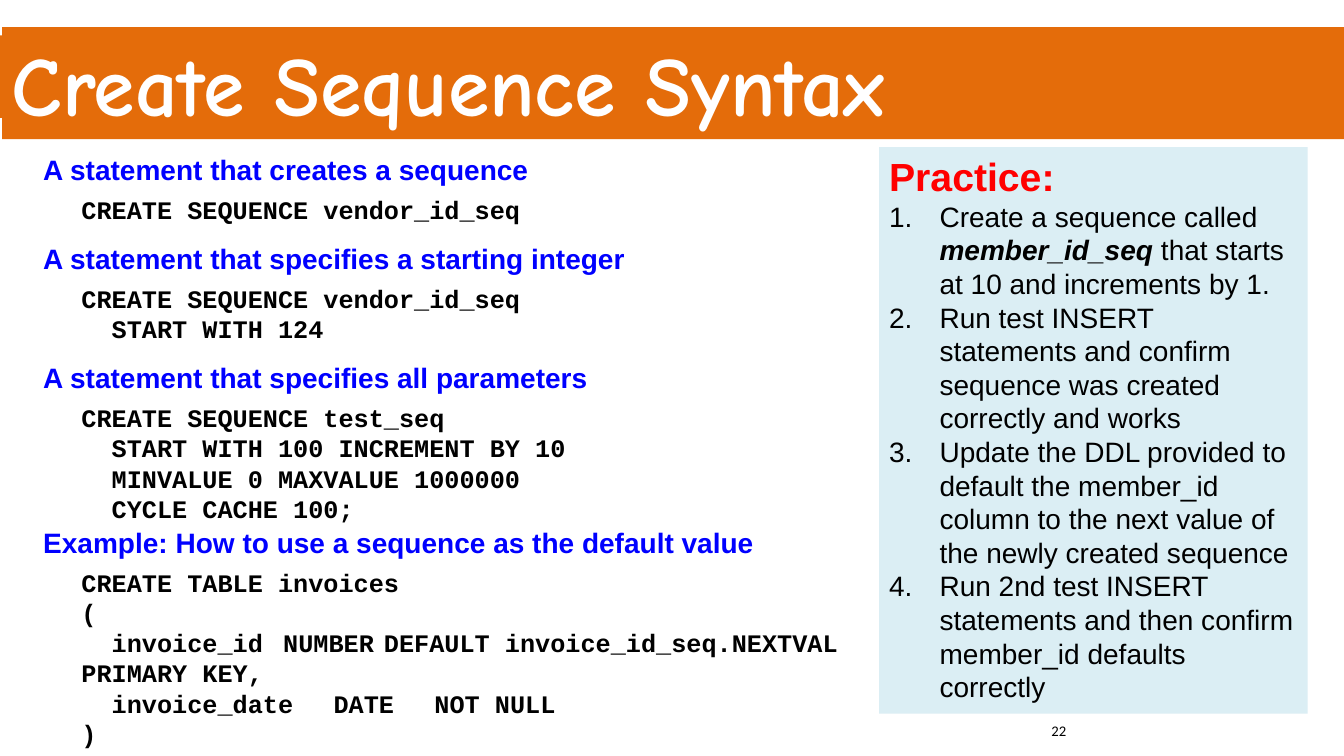
"""Build the slide on the syntax for creating sequences."""
import pptx
import pptx.util
import pptx.dml.color
import pptx.enum.shapes
import pptx.enum.text
import pptx.oxml.ns
from lxml import etree

Inches = pptx.util.Inches
Pt = pptx.util.Pt
RGBColor = pptx.dml.color.RGBColor
qn = pptx.oxml.ns.qn

ORANGE = RGBColor(0xE4, 0x6C, 0x0A)
PALE = RGBColor(0xDB, 0xEE, 0xF4)
BLUE = RGBColor(0x00, 0x00, 0xFF)
RED = RGBColor(0xFF, 0x00, 0x00)
BLACK = RGBColor(0x00, 0x00, 0x00)
WHITE = RGBColor(0xFF, 0xFF, 0xFF)

TITLE = "Create Sequence Syntax"
NUMBER = "22"
SYNTAX = [
    ("A statement that creates a sequence", [
        (0, "CREATE SEQUENCE vendor_id_seq", ())]),
    ("A statement that specifies a starting integer", [
        (0, "CREATE SEQUENCE vendor_id_seq", ()),
        (1, "START WITH 124", ())]),
    ("A statement that specifies all parameters", [
        (0, "CREATE SEQUENCE test_seq", ()),
        (1, "START WITH 100 INCREMENT BY 10", ()),
        (1, "MINVALUE 0 MAXVALUE 1000000", ()),
        (1, "CYCLE CACHE 100;", ())]),
]
EXAMPLE = [
    ("Example: How to use a sequence as the default value", [
        (0, "CREATE TABLE invoices", ()),
        (0, "(", ()),
        (1, "invoice_id\tNUMBER\tDEFAULT invoice_id_seq.NEXTVAL PRIMARY KEY,", (2.4, 4.05)),
        (1, "invoice_date\tDATE\tNOT NULL", (2.4, 5)),
        (0, ")", ())]),
]
HEAD = "Practice:"
TASKS = [
    [("Create a sequence called ", False), ("member_id_seq", True),
     (" that starts at 10 and increments by 1.", False)],
    [("Run test INSERT statements and confirm sequence was created correctly and works", False)],
    [("Update the DDL provided to default the member_id column to the next value "
      "of the newly created sequence", False)],
    [("Run 2nd test INSERT statements and then confirm member_id defaults correctly", False)],
]

MARGIN = 0.38
STEP = 0.3
HANG = 0.5


def add_box(slide, place, fill=None):
    """Add a filled box, or a plain text box, and return its text frame."""
    area = [Inches(v) for v in place]
    if fill is None:
        box = slide.shapes.add_textbox(*area)
    else:
        box = slide.shapes.add_shape(pptx.enum.shapes.MSO_SHAPE.RECTANGLE, *area)
        box.shadow.inherit = False
        box.fill.solid()
        box.fill.fore_color.rgb = fill
        box.line.fill.background()
    frame = box.text_frame
    frame.word_wrap = True
    frame.vertical_anchor = pptx.enum.text.MSO_ANCHOR.TOP
    return frame


def add_para(frame, left=0, first=0):
    """Start a left-aligned paragraph with the given indents."""
    para = frame.paragraphs[0]
    if para.runs:
        para = frame.add_paragraph()
    para.alignment = pptx.enum.text.PP_ALIGN.LEFT
    props = para._p.get_or_add_pPr()
    props.set("marL", str(Inches(left)))
    props.set("indent", str(Inches(first)))
    return para


def add_run(para, text, size, color, face="Arial", bold=False, slant=False):
    """Add one run of styled text."""
    run = para.add_run()
    run.text = text
    font = run.font
    font.name, font.size, font.bold, font.italic = face, Pt(size), bold, slant
    font.color.rgb = color


def set_tabs(para, stops):
    """Set left tab stops, in inches from the margin."""
    tabs = etree.SubElement(para._p.get_or_add_pPr(), qn("a:tabLst"))
    for stop in stops:
        etree.SubElement(tabs, qn("a:tab"), pos=str(Inches(stop)), algn="l")


def add_code(frame, groups):
    """Write blue headings, each followed by its lines of code."""
    for i, (head, lines) in enumerate(groups):
        para = add_para(frame)
        para.space_before = Pt(12 if i else 0)
        para.space_after = Pt(6)
        add_run(para, head, 20, BLUE, bold=True)
        for level, text, stops in lines:
            para = add_para(frame, MARGIN, level * STEP)
            if stops:
                set_tabs(para, stops)
            add_run(para, text, 18, BLACK, "Courier New", True)


def main():
    """Build and save the slide."""
    deck = pptx.Presentation()
    deck.slide_width, deck.slide_height = Inches(13.33), Inches(7.5)
    slide = deck.slides.add_slide(deck.slide_layouts[6])

    add_box(slide, (0, 0.35, 13.33, 0.82), ORANGE)
    title = add_box(slide, (0.02, 0.27, 13.31, 1.11), ORANGE)
    add_run(add_para(title), TITLE, 60, WHITE, "Comic Neue", True)

    page = add_box(slide, (10.33, 7.11, 3, 0.39))
    add_run(add_para(page), NUMBER, 10.5, BLACK, "Calibri")

    add_code(add_box(slide, (0.33, 5.16, 8.39, 2.34)), EXAMPLE)
    add_code(add_box(slide, (0.33, 1.46, 8.06, 3.82)), SYNTAX)

    tasks = add_box(slide, (8.72, 1.46, 4.25, 5.62), PALE)
    add_run(add_para(tasks), HEAD, 28, RED, bold=True)
    for task in TASKS:
        para = add_para(tasks, HANG, -HANG)
        etree.SubElement(para._p.get_or_add_pPr(), qn("a:buAutoNum"), type="arabicPeriod")
        for text, strong in task:
            add_run(para, text, 20, BLACK, bold=strong, slant=strong)

    deck.save("out.pptx")


if __name__ == "__main__":
    main()
